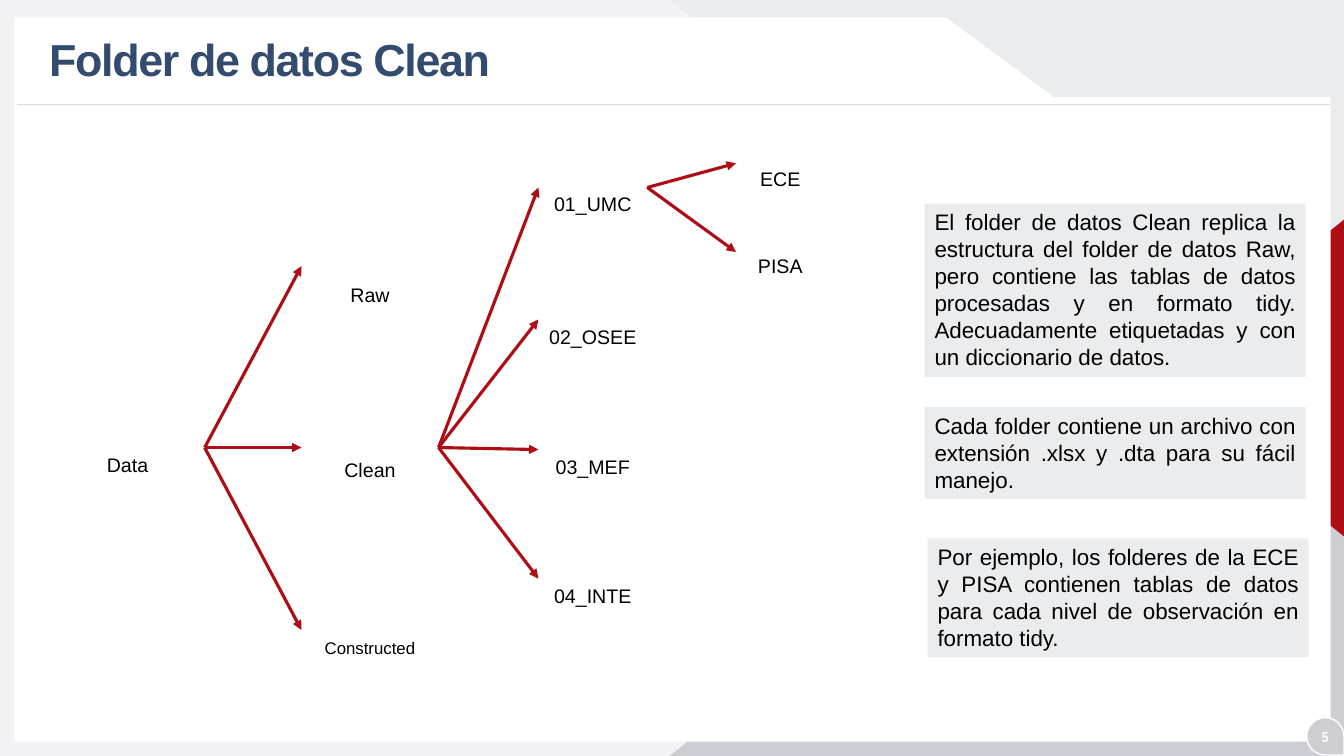
import dataclasses

import pptx
import pptx.dml.color
import pptx.enum.shapes
import pptx.enum.text
import pptx.oxml
import pptx.oxml.ns
import pptx.util

Inches = pptx.util.Inches
Pt = pptx.util.Pt
Shape = pptx.enum.shapes.MSO_SHAPE
Align = pptx.enum.text.PP_ALIGN
Anchor = pptx.enum.text.MSO_ANCHOR


@dataclasses.dataclass(frozen=True)
class Theme:
    font: str = "Arial"
    number_font: str = "Arial Narrow"
    white: str = "FFFFFF"
    black: str = "000000"
    navy: str = "324B6E"
    red: str = "AF0D15"
    paper: str = "F3F3F5"
    light: str = "EBECEE"
    gray: str = "CDCED3"
    rule: str = "D9D9D9"
    title_size: float = 32
    note_size: float = 16
    label_size: float = 14
    small_size: float = 12
    number_size: float = 10.5


@dataclasses.dataclass(frozen=True)
class Region:
    left: float
    top: float
    width: float
    height: float

    @property
    def right(self):
        return self.left + self.width

    @property
    def bottom(self):
        return self.top + self.height

    def lengths(self):
        return [Inches(value) for value in dataclasses.astuple(self)]


THEME = Theme()


def color(value):
    return pptx.dml.color.RGBColor.from_string(value)


def paint(shape, fill, line=None):
    shape.shadow.inherit = False
    shape.fill.solid()
    shape.fill.fore_color.rgb = color(fill)
    if line:
        shape.line.color.rgb = color(line)
        shape.line.width = Pt(1)
    else:
        shape.line.fill.background()


def add_block(page, kind, region, fill, line=None):
    shape = page.shapes.add_shape(kind, *region.lengths())
    paint(shape, fill, line)
    return shape


def add_line(page, start, end, line, width, arrow=False):
    connector = page.shapes.add_connector(
        pptx.enum.shapes.MSO_CONNECTOR.STRAIGHT,
        *[Inches(value) for value in (*start, *end)])
    connector.line.color.rgb = color(line)
    connector.line.width = Pt(width)
    if arrow:
        head = pptx.oxml.parse_xml(
            f'<a:tailEnd {pptx.oxml.ns.nsdecls("a")} type="triangle"/>')
        connector.line._get_or_add_ln().append(head)
    connector._element.spPr.append(
        pptx.oxml.parse_xml(f'<a:effectLst {pptx.oxml.ns.nsdecls("a")}/>'))


def write(shape, text, size, align, ink=THEME.black, bold=False,
          anchor=Anchor.TOP, font=THEME.font):
    frame = shape.text_frame
    frame.word_wrap = True
    frame.vertical_anchor = anchor
    para = frame.paragraphs[0]
    para.text = text
    para.alignment = align
    para.font.name = font
    para.font.size = Pt(size)
    para.font.bold = bold
    para.font.color.rgb = color(ink)
    return para


def add_text(page, region, *args, **options):
    box = page.shapes.add_textbox(*region.lengths())
    return write(box, *args, **options)


def draw_backdrop(page, region):
    add_block(page, Shape.RECTANGLE, region, THEME.paper)
    width, height = 6.69, 5.31
    left = region.right - width
    upper = add_block(page, Shape.ISOSCELES_TRIANGLE,
                      Region(left, region.top, width, height), THEME.light)
    upper._element.spPr.get_or_add_xfrm().set("flipV", "1")
    lower = add_block(page, Shape.ISOSCELES_TRIANGLE,
                      Region(left, region.bottom - height, width, height), THEME.gray)
    for corner in (upper, lower):
        corner.adjustments[0] = 1
    wedge = add_block(page, Shape.ISOSCELES_TRIANGLE,
                      Region(region.right - 2.55, region.top + 2.77, 3.15, 1.96),
                      THEME.red)
    wedge.rotation = 270


def draw_sheet(page, region):
    """White sheet with a notched upper right corner and a rule under the title."""
    shoulder = region.top + 0.79
    outline = [(region.left, region.top), (region.right - 3.81, region.top),
               (region.right - 2.74, shoulder), (region.right, shoulder),
               (region.right, region.bottom), (region.left, region.bottom)]
    points = [(Inches(x), Inches(y)) for x, y in outline]
    builder = page.shapes.build_freeform(*points[0])
    builder.add_line_segments(points[1:], close=True)
    paint(builder.convert_to_shape(), THEME.white, THEME.white)
    rule = region.top + 0.86
    add_line(page, (region.right, rule), (region.left + 0.02, rule), THEME.rule, 0.5)


def draw_title(page, region, text):
    para = add_text(page, region, text, THEME.title_size, Align.LEFT,
                    ink=THEME.navy, bold=True, anchor=Anchor.MIDDLE)
    para.line_spacing = 0.9
    para.runs[0].font._element.set("spc", "-100")


def draw_page_number(page, region, text):
    drop = add_block(page, Shape.TEAR, region, THEME.gray, THEME.white)
    drop.rotation = 90
    add_text(page, Region(region.left - 0.05, region.top + 0.05, 0.47, 0.28), text,
             THEME.number_size, Align.CENTER, ink=THEME.white, bold=True,
             anchor=Anchor.MIDDLE, font=THEME.number_font)


def draw_label(page, region, text, size=THEME.label_size):
    add_text(page, region, text, size, Align.CENTER)


def draw_fan(page, region, origin, label_left, children):
    """Arrows from one point on the left side to tips on the right.

    Each child is (name, tip offset, label offset, type size)."""
    start = (region.left, region.top + origin)
    for name, tip, label_top, size in children:
        add_line(page, start, (region.right, region.top + tip), THEME.red, 2.25, arrow=True)
        draw_label(page, Region(region.left + label_left, region.top + label_top,
                                1.14, 0.34), name, size)


def draw_note(page, region, text):
    write(add_block(page, Shape.RECTANGLE, region, THEME.light), text,
          THEME.note_size, Align.JUSTIFY)


def build_slide(deck):
    page = deck.slides.add_slide(deck.slide_layouts[6])
    draw_backdrop(page, Region(0, 0, 13.33, 7.5))
    draw_sheet(page, Region(0.15, 0.18, 13.04, 7.17))
    draw_page_number(page, Region(12.96, 7.12, 0.37, 0.37), "5")
    draw_title(page, Region(0.39, 0.22, 9.66, 0.79), "Folder de datos Clean")

    normal, small = THEME.label_size, THEME.small_size
    draw_label(page, Region(0.72, 4.44, 1.09, 0.34), "Data")
    draw_fan(page, Region(2.03, 2.64, 0.96, 3.61), 1.8, 1.07,
             [("Raw", 0, 0.12, normal), ("Clean", 1.8, 1.85, normal),
              ("Constructed", 3.61, 3.64, small)])
    sources = [("01_UMC", 0), ("02_OSEE", 1.31), ("03_MEF", 2.6), ("04_INTE", 3.88)]
    draw_fan(page, Region(4.35, 1.86, 0.99, 3.88), 2.58, 0.96,
             [(name, offset, offset, normal) for name, offset in sources])
    draw_fan(page, Region(6.42, 1.62, 0.88, 0.88), 0.24, 0.75,
             [("ECE", 0, -0.01, normal), ("PISA", 0.88, 0.85, normal)])

    notes = [
        (9.17, 2.02, 1.72, "El folder de datos Clean replica la estructura del folder de "
         "datos Raw, pero contiene las tablas de datos procesadas y en formato tidy. "
         "Adecuadamente etiquetadas y con un diccionario de datos."),
        (9.17, 4.04, 0.91, "Cada folder contiene un archivo con extensión .xlsx y .dta "
         "para su fácil manejo."),
        (9.2, 5.34, 1.18, "Por ejemplo, los folderes de la ECE y PISA contienen tablas de "
         "datos para cada nivel de observación en formato tidy."),
    ]
    for left, top, height, text in notes:
        draw_note(page, Region(left, top, 3.78, height), text)


def main():
    deck = pptx.Presentation()
    deck.slide_width, deck.slide_height = Inches(13.33), Inches(7.5)
    build_slide(deck)
    deck.save("out.pptx")


if __name__ == "__main__":
    main()
